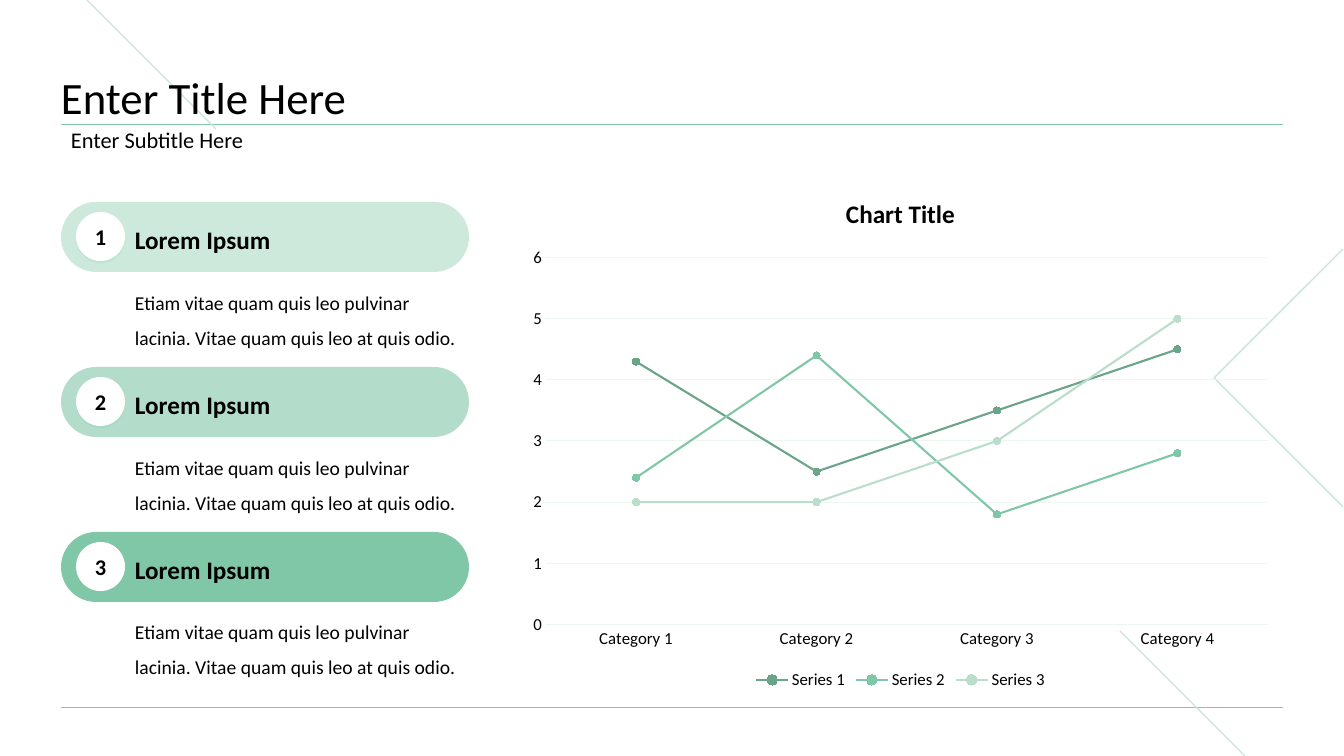
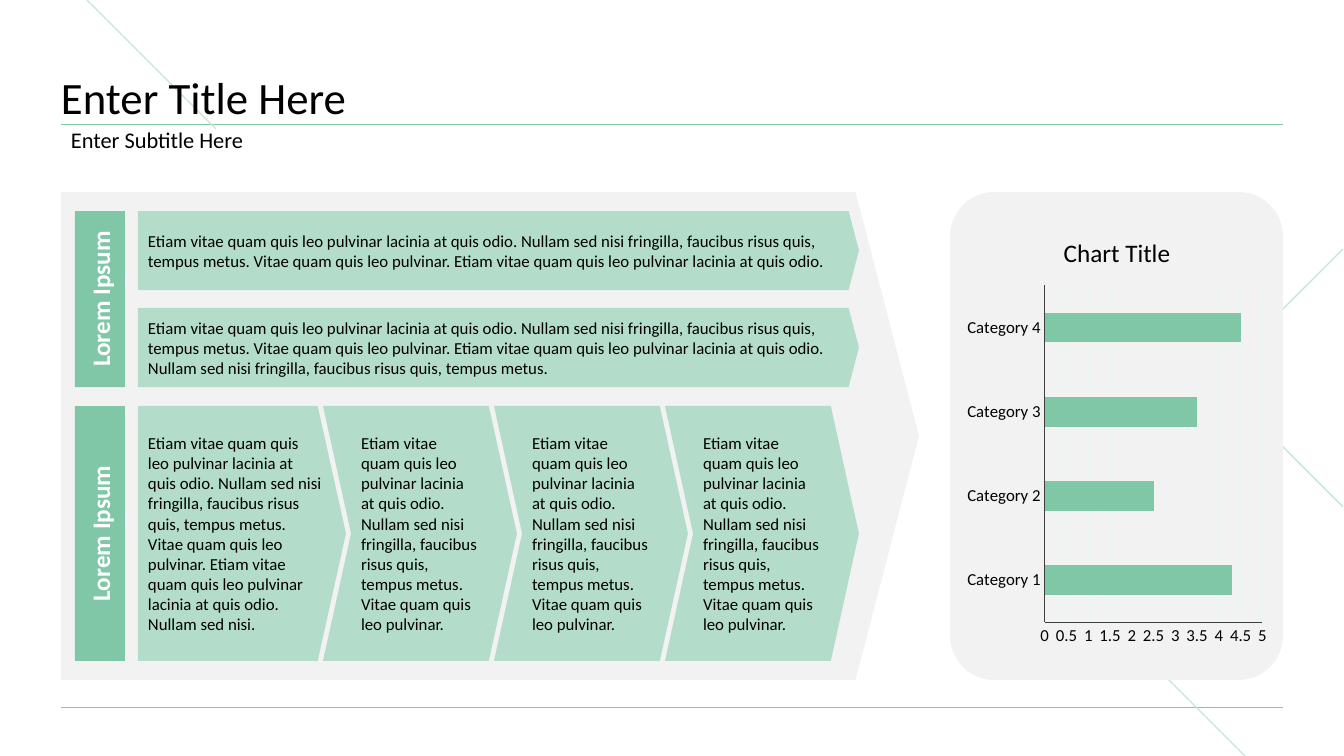
import pptx
import pptx.chart.data
import pptx.dml.color
import pptx.enum.chart
import pptx.enum.shapes
import pptx.enum.text
import pptx.oxml
import pptx.oxml.ns
import pptx.util
import lxml.etree

PX = 12192000 / 1344
FONT = "Calibri"
COLORS = {
    "black": "000000",
    "white": "FFFFFF",
    "green": "80C7A7",
    "dark": "6AA58A",
    "soft": "BADDCC",
    "mint": "B3DDCA",
    "pale": "CCE9DC",
    "accent": "C6E6D7",
    "grid": "ECF7F2",
    "axis": "3F3F3F",
    "panel": "F2F2F2",
}
RGB = {name: pptx.dml.color.RGBColor.from_string(code) for name, code in COLORS.items()}
SHAPE = pptx.enum.shapes.MSO_SHAPE
ANCHOR = pptx.enum.text.MSO_ANCHOR
ALIGN = pptx.enum.text.PP_ALIGN
CHART = pptx.enum.chart.XL_CHART_TYPE


def add_box(page, rect, kind=None, fill=None, adjust=None):
    """Add a filled preset shape, or a text box when no kind is given."""
    frame = [round(value * PX) for value in rect]
    if kind is None:
        return page.shapes.add_textbox(*frame)
    box = page.shapes.add_shape(kind, *frame)
    box.shadow.inherit = False
    box.fill.solid()
    box.fill.fore_color.rgb = RGB[fill]
    box.line.fill.background()
    if adjust is not None:
        box.adjustments[0] = adjust
    return box


def write(box, text, size, color="black", bold=False, align=ALIGN.LEFT,
          anchor=ANCHOR.MIDDLE, spacing=None, inset=(10, 5)):
    frame = box.text_frame
    frame.word_wrap = True
    frame.vertical_anchor = anchor
    frame.margin_left = frame.margin_right = round(inset[0] * PX)
    frame.margin_top = frame.margin_bottom = round(inset[1] * PX)
    para = frame.paragraphs[0]
    para.alignment = align
    if spacing:
        para.line_spacing = spacing
    span = para.add_run()
    span.text = text
    span.font.name = FONT
    span.font.size = pptx.util.Pt(size)
    span.font.bold = bold
    span.font.color.rgb = RGB[color]


deck = pptx.Presentation()
deck.slide_width = round(1344 * PX)
deck.slide_height = round(756 * PX)
pages = [deck.slides.add_slide(deck.slide_layouts[6]) for _ in range(2)]
list_page, process_page = pages

# Shared rules, diagonals, title and subtitle
RULES = [
    (61, 707, 1283, 707, "green", 0.5),
    (61, 124, 1283, 124, "green", 0.5),
    (1120, 631, 1245, 756, "accent", 1),
    (87, 0, 216, 129, "accent", 1),
]
for page in pages:
    for *ends, color, width in RULES:
        rule = page.shapes.add_connector(
            pptx.enum.shapes.MSO_CONNECTOR.STRAIGHT, *[round(end * PX) for end in ends])
        rule.line.color.rgb = RGB[color]
        rule.line.width = pptx.util.Pt(width)
        lxml.etree.SubElement(rule._element.spPr, pptx.oxml.ns.qn("a:effectLst"))
    builder = page.shapes.build_freeform(1343, 249, scale=PX)
    builder.add_line_segments([(1214, 378), (1343, 507)], close=False)
    angle = builder.convert_to_shape()
    angle.shadow.inherit = False
    angle.fill.background()
    angle.line.color.rgb = RGB["accent"]
    angle.line.width = pptx.util.Pt(1)
    write(add_box(page, (61, 44, 1222, 80)), "Enter Title Here", 32,
          anchor=ANCHOR.BOTTOM, spacing=0.9, inset=(0, 0))
    write(add_box(page, (61, 124, 1222, 34)), "Enter Subtitle Here", 16, spacing=0.9)

# Numbered list
ITEMS = [(202, 274, "pale"), (367, 439, "mint"), (532, 603, "green")]
for number, (top, body_top, color) in enumerate(ITEMS, 1):
    add_box(list_page, (61, top, 408, 70), SHAPE.ROUNDED_RECTANGLE, color, 0.5)
    write(add_box(list_page, (125, body_top, 344, 87)),
          "Etiam vitae quam quis leo pulvinar lacinia. Vitae quam quis leo at quis odio.",
          14, anchor=ANCHOR.TOP, spacing=1.5)
    badge = add_box(list_page, (76, top + 10, 49, 49), SHAPE.OVAL, "white")
    effects = badge._element.spPr.find(pptx.oxml.ns.qn("a:effectLst"))
    effects.append(pptx.oxml.parse_xml(
        f'<a:outerShdw {pptx.oxml.ns.nsdecls("a")} blurRad="0" dist="19050" dir="5400000">'
        f'<a:srgbClr val="{COLORS["green"]}"><a:alpha val="20000"/></a:srgbClr>'
        '</a:outerShdw>'))
    write(badge, str(number), 16, bold=True, align=ALIGN.CENTER, inset=(10, 10))
    write(add_box(list_page, (125, top + 11, 300, 48)), "Lorem Ipsum", 18,
          bold=True, spacing=1.15, inset=(10, 10))

# Process panel with turned row labels
add_box(process_page, (61, 192, 858, 488), SHAPE.PENTAGON, "panel", 0.13)
for top, length in [(211, 176), (406, 255)]:
    label = add_box(process_page, (100 - length / 2, top + length / 2 - 25, length, 50),
                    SHAPE.RECTANGLE, "green")
    label.rotation = 270
    write(label, "Lorem Ipsum", 18, "white", bold=True, align=ALIGN.CENTER)

# Process steps
SHORT = ("Etiam vitae quam quis leo pulvinar lacinia at quis odio. Nullam sed nisi fringilla, "
         "faucibus risus quis, tempus metus. Vitae quam quis leo pulvinar.")
LONG = SHORT + " Etiam vitae quam quis leo pulvinar lacinia at quis odio."
STEPS = [
    ((138, 211, 721, 79), SHAPE.PENTAGON, 0.13, LONG),
    ((138, 308, 721, 79), SHAPE.PENTAGON, 0.13,
     LONG + " Nullam sed nisi fringilla, faucibus risus quis, tempus metus."),
    ((138, 406, 208, 255), SHAPE.PENTAGON, 0.136, LONG + " Nullam sed nisi."),
]
STEPS += [((323 + 171 * i, 406, 194, 255), SHAPE.CHEVRON, 0.145, SHORT) for i in range(3)]
for rect, kind, adjust, text in STEPS:
    write(add_box(process_page, rect, kind, "mint", adjust), text, 12)

# Chart card
add_box(process_page, (950, 192, 333, 488), SHAPE.ROUNDED_RECTANGLE, "panel", 0.133)

# Charts: page, type, frame, values, series colours, bold title, axis limits, axis line
FIRST = (4.3, 2.5, 3.5, 4.5)
EMPTY = (None,) * 4
CHARTS = [
    (list_page, CHART.LINE_MARKERS, (518, 176, 765, 518),
     [FIRST, (2.4, 4.4, 1.8, 2.8), (2, 2, 3, 5)],
     ["dark", "green", "soft"], True, (6, 1), "grid"),
    (process_page, CHART.BAR_STACKED, (961, 217, 312, 438),
     [FIRST, EMPTY, EMPTY], ["green"] * 3, False, (5, 0.5), "axis"),
]
for page, kind, rect, values, colors, bold, (maximum, unit), axis_color in CHARTS:
    data = pptx.chart.data.CategoryChartData()
    data.categories = [f"Category {i}" for i in range(1, 5)]
    for number, row in enumerate(values, 1):
        data.add_series(f"Series {number}", row)
    chart = page.shapes.add_chart(kind, *[round(value * PX) for value in rect], data).chart
    chart.font.name = FONT
    chart.font.size = pptx.util.Pt(12)
    chart.font.color.rgb = RGB["black"]

    chart.has_title = True
    span = chart.chart_title.text_frame.paragraphs[0].add_run()
    span.text = "Chart Title"
    span.font.name = FONT
    span.font.size = pptx.util.Pt(18)
    span.font.bold = bold
    span.font.color.rgb = RGB["black"]
    chart.chart_title.include_in_layout = False

    for axis in (chart.category_axis, chart.value_axis):
        axis.major_tick_mark = pptx.enum.chart.XL_TICK_MARK.NONE
        axis.minor_tick_mark = pptx.enum.chart.XL_TICK_MARK.NONE
        axis.format.line.color.rgb = RGB[axis_color]
        axis.format.line.width = pptx.util.Pt(0.75)
    scale = chart.value_axis
    scale.minimum_scale, scale.maximum_scale, scale.major_unit = 0, maximum, unit
    scale.has_major_gridlines = True
    scale.major_gridlines.format.line.color.rgb = RGB["grid"]
    scale.major_gridlines.format.line.width = pptx.util.Pt(0.75)

    plot = chart.plots[0]
    plot.vary_by_categories = False
    is_line = kind == CHART.LINE_MARKERS
    chart.has_legend = is_line
    if is_line:
        scale.format.line.fill.background()
        chart.legend.position = pptx.enum.chart.XL_LEGEND_POSITION.BOTTOM
        chart.legend.include_in_layout = False
    else:
        plot.gap_width = 182
        plot.overlap = 100
    for series, color in zip(plot.series, colors):
        if is_line:
            series.smooth = False
            series.format.line.color.rgb = RGB[color]
            series.format.line.width = pptx.util.Pt(1.5)
            series.marker.style = pptx.enum.chart.XL_MARKER_STYLE.CIRCLE
            series.marker.size = 5
            painted = series.marker.format
            painted.line.color.rgb = RGB[color]
        else:
            painted = series.format
        painted.fill.solid()
        painted.fill.fore_color.rgb = RGB[color]

deck.save("out.pptx")
